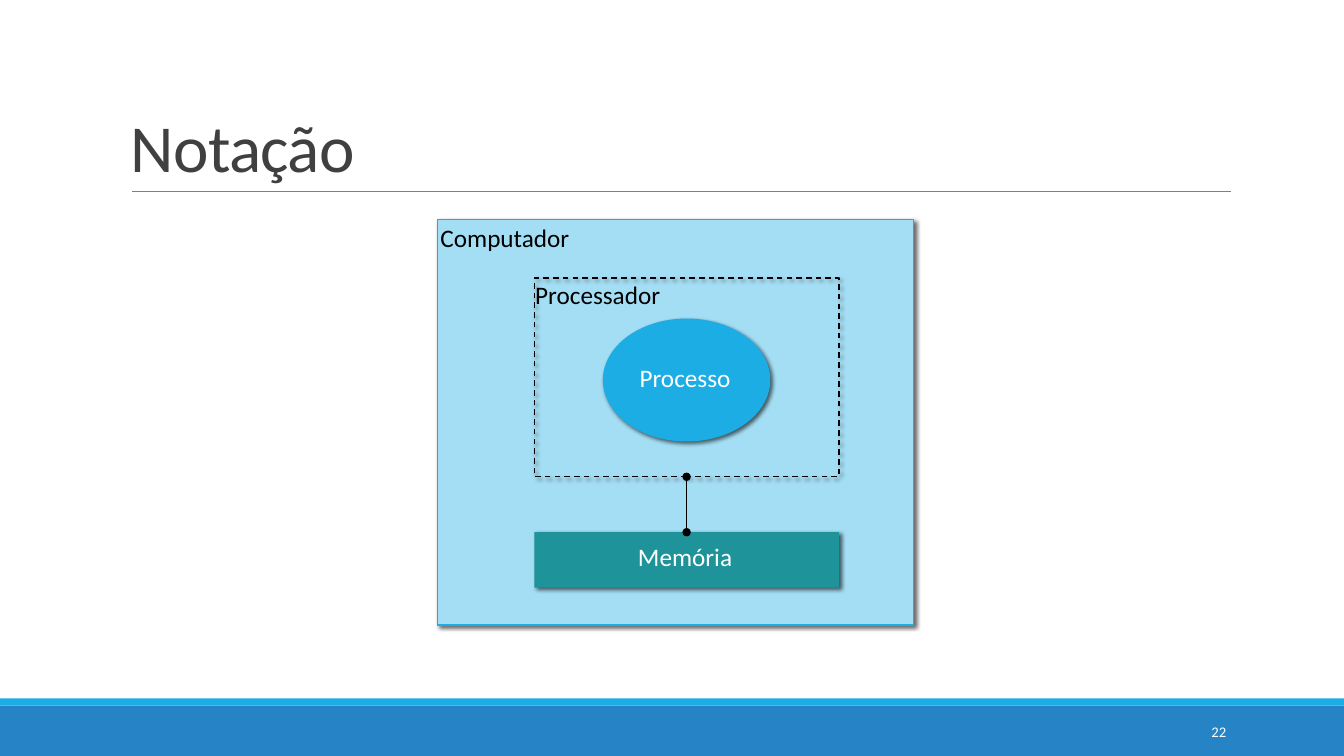
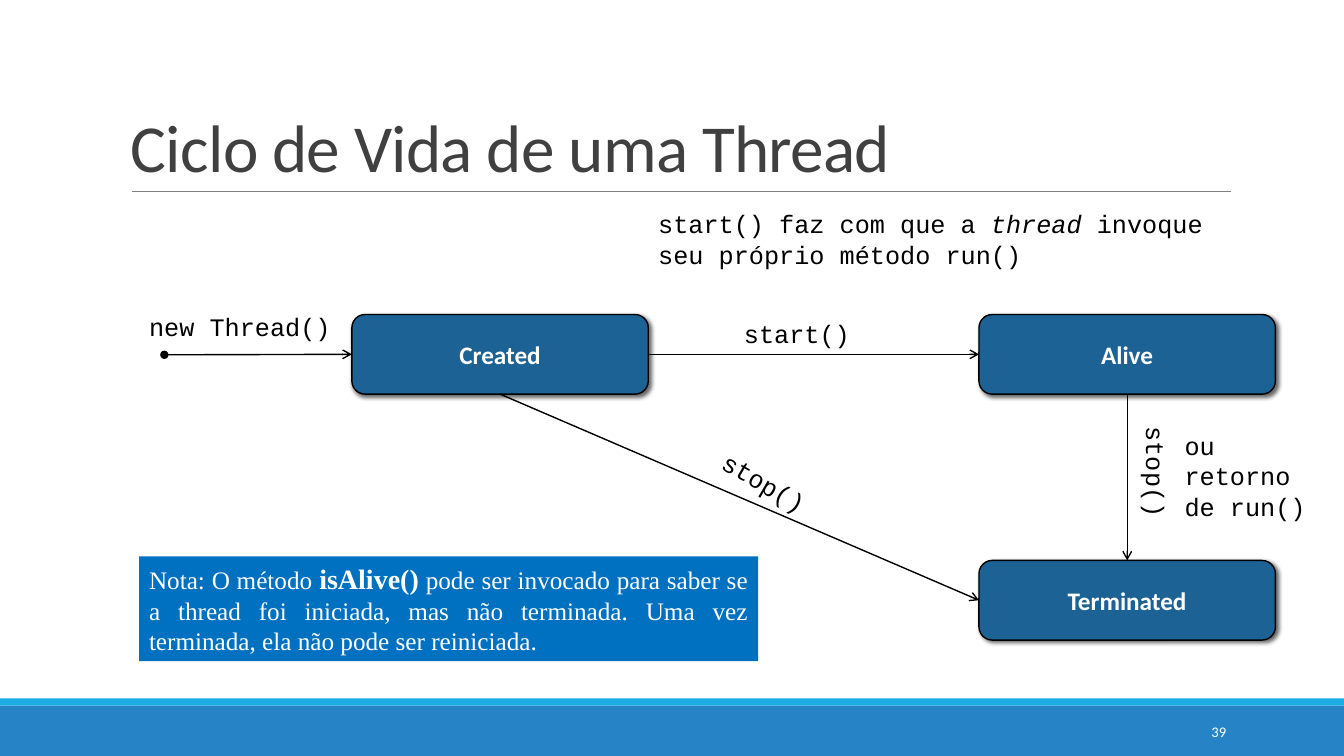
from lxml import etree
from pptx import Presentation
from pptx.dml.color import RGBColor
from pptx.enum.dml import MSO_LINE
from pptx.enum.shapes import MSO_CONNECTOR, MSO_SHAPE
from pptx.enum.text import MSO_ANCHOR, PP_ALIGN
from pptx.oxml.ns import qn
from pptx.util import Inches, Pt

RECT, ROUND, OVAL = MSO_SHAPE.RECTANGLE, MSO_SHAPE.ROUNDED_RECTANGLE, MSO_SHAPE.OVAL
STRAIGHT, DASH = MSO_CONNECTOR.STRAIGHT, MSO_LINE.DASH
LEFT, CENTER, RIGHT, JUST = PP_ALIGN.LEFT, PP_ALIGN.CENTER, PP_ALIGN.RIGHT, PP_ALIGN.JUSTIFY
TOP, MIDDLE, BOTTOM = MSO_ANCHOR.TOP, MSO_ANCHOR.MIDDLE, MSO_ANCHOR.BOTTOM

BLACK = RGBColor(0x00, 0x00, 0x00)
WHITE = RGBColor(0xFF, 0xFF, 0xFF)
GRAY = RGBColor(0x80, 0x80, 0x80)
DARK = RGBColor(0x40, 0x40, 0x40)
BLUE = RGBColor(0x26, 0x83, 0xC6)
CYAN = RGBColor(0x1C, 0xAD, 0xE4)
PALE = RGBColor(0xA4, 0xDE, 0xF4)
TEAL = RGBColor(0x1E, 0x93, 0x99)
NAVY = RGBColor(0x1D, 0x62, 0x94)
NOTE = RGBColor(0x00, 0x70, 0xC0)

SANS, MONO, SERIF = "Calibri", "Courier New", "Times New Roman"
WIDTH, HEIGHT = 13.33, 7.5


# Shared helpers
def inches(*sizes):
    return [Inches(size) for size in sizes]


def write(shape, runs, font=SANS, size=18, color=BLACK, align=LEFT, anchor=TOP, wrap=True):
    """Fill a shape with one paragraph; a run is (text, changes to its font)."""
    frame = shape.text_frame
    frame.word_wrap = wrap
    frame.vertical_anchor = anchor
    para = frame.paragraphs[0]
    para.alignment = align
    for text, changes in runs:
        run = para.add_run()
        run.text = text
        run.font.name, run.font.size = font, Pt(size)
        run.font.color.rgb = color
        for name, value in changes.items():
            setattr(run.font, name, value)
    return para


def label(slide, text, box, turn=0, **style):
    shape = slide.shapes.add_textbox(*inches(*box))
    shape.rotation = turn
    runs = [(text, {})] if isinstance(text, str) else text
    return write(shape, runs, **style)


def cast(shape):
    effects = shape.element.spPr.find(qn("a:effectLst"))
    shadow = etree.SubElement(effects, qn("a:outerShdw"), blurRad=str(Pt(3)),
                              dist=str(Pt(2)), dir="2700000", algn="tl", rotWithShape="0")
    tint = etree.SubElement(shadow, qn("a:srgbClr"), val="000000")
    etree.SubElement(tint, qn("a:alpha"), val="60000")


def block(slide, kind, box, fill=None, line=None, dash=None, raised=False):
    shape = slide.shapes.add_shape(kind, *inches(*box))
    shape.shadow.inherit = False
    if fill is None:
        shape.fill.background()
    else:
        shape.fill.solid()
        shape.fill.fore_color.rgb = fill
    if line is None:
        shape.line.fill.background()
    else:
        shape.line.color.rgb = line
        shape.line.width = Pt(1)
        shape.line.dash_style = dash
    if raised:
        cast(shape)
    return shape


def link(slide, ends=(0, 0, 0, 0), start=None, stop=None, color=BLACK, width=1,
         head=None, tail=None):
    """Draw a line; start and stop are (shape, side) pairs to join."""
    line = slide.shapes.add_connector(STRAIGHT, *inches(*ends))
    if start:
        line.begin_connect(*start)
    if stop:
        line.end_connect(*stop)
    line.line.color.rgb = color
    line.line.width = Pt(width)
    props = line.element.spPr
    for tag, kind in (("a:headEnd", head), ("a:tailEnd", tail)):
        if kind:
            etree.SubElement(props.find(qn("a:ln")), qn(tag), type=kind)
    etree.SubElement(props, qn("a:effectLst"))


def frame(deck, title, number):
    """Add a slide with its title, rule, bands and page number."""
    slide = deck.slides.add_slide(deck.slide_layouts[6])
    block(slide, RECT, (0, 7, WIDTH, 0.5), BLUE)
    block(slide, RECT, (0, 6.93, WIDTH, 0.07), CYAN)
    link(slide, (1.31, 1.9, 12.21, 1.9), color=GRAY, width=0.5)
    para = label(slide, title, (1.2, 0.31, 11, 1.59), size=48, color=DARK, anchor=BOTTOM)
    para.line_spacing = 0.85
    para.runs[0].font.element.set("spc", "-50") if hasattr(para.runs[0].font, "element") \
        else para.runs[0]._r.get_or_add_rPr().set("spc", "-50")
    label(slide, str(number), (10.83, 7.06, 1.43, 0.4), size=10.5, color=WHITE,
          align=RIGHT, anchor=MIDDLE)
    return slide


# Slide: notation of a computer
def machine(slide, x, y, w, h):
    block(slide, RECT, (x, y, w, h), PALE, CYAN, raised=True)
    left, wide = x + 0.96, 3.02
    chip = block(slide, RECT, (left, y + 0.58, wide, 1.97), line=BLACK, dash=DASH, raised=True)
    block(slide, OVAL, (left + 0.68, y + 0.98, 1.66, 1.22), CYAN, raised=True)
    store = block(slide, RECT, (left, y + 3.1, wide, 0.55), TEAL, raised=True)
    link(slide, start=(chip, 2), stop=(store, 0), width=0.5, head="oval", tail="oval")
    label(slide, "Computador", (x - 0.07, y - 0.02, 3.59, 0.5))
    label(slide, "Processador", (left - 0.09, y + 0.54, 2.52, 0.5))
    for text, top in (("Processo", 1.37), ("Memória", 3.14)):
        label(slide, text, (left + 0.56, y + top, 1.87, 0.5), color=WHITE, align=CENTER)


# Slide: life cycle of a thread
def state(slide, name, x, y):
    shape = block(slide, ROUND, (x, y, 2.94, 0.79), NAVY, BLACK, raised=True)
    write(shape, [(name, {"bold": True})], color=WHITE, align=CENTER, anchor=MIDDLE)
    return shape


def cycle(slide, x, y):
    far, low = x + 6.22, y + 2.44
    born = state(slide, "Created", x, y)
    live = state(slide, "Alive", far, y)
    dead = state(slide, "Terminated", far, low)

    # Moves between states
    for start, stop in (((born, 3), (live, 1)), ((live, 2), (dead, 0)), ((born, 2), (dead, 1))):
        link(slide, start=start, stop=stop, tail="arrow")
    mid = y + 0.4
    link(slide, (x - 1.86, mid, x, mid), stop=(born, 1), head="oval", tail="arrow")

    # Names of the moves
    for text, dx, dy, wide, turn in (("new Thread()", -2.11, -0.08, 2.01, 0),
                                     ("start()", 3.79, -0.01, 1.26, 0),
                                     ("stop()", 3.54, 1.47, 1.11, 30.3),
                                     ("stop()", 7.42, 1.37, 1.11, 90)):
        label(slide, text, (x + dx, y + dy, wide, 0.4), turn, font=MONO, wrap=False)
    label(slide, "ou retorno de run()", (x + 8.16, y + 1.1, 1.68, 1.01), font=MONO)


def remarks(slide, x, y):
    label(slide, [("start() faz com que a ", {}), ("thread", {"italic": True}),
                  (" invoque seu próprio método run()", {})],
          (x + 5.05, y, 5.77, 0.71), font=MONO)
    note = block(slide, RECT, (x, y + 3.5, 6.14, 1.04), NOTE)
    write(note, [("Nota: O método ", {}), ("isAlive()", {"bold": True, "size": Pt(20)}),
                 (" pode ser invocado para saber se a thread foi iniciada, mas não terminada. "
                  "Uma vez terminada, ela não pode ser reiniciada.", {})],
          font=SERIF, color=WHITE, align=JUST)


def main():
    deck = Presentation()
    deck.slide_width, deck.slide_height = inches(WIDTH, HEIGHT)
    machine(frame(deck, "Notação", 22), 4.34, 2.18, 4.72, 4.02)
    slide = frame(deck, "Ciclo de Vida de uma Thread", 39)
    cycle(slide, 3.49, 3.12)
    remarks(slide, 1.38, 2.02)
    deck.save("out.pptx")


if __name__ == "__main__":
    main()
